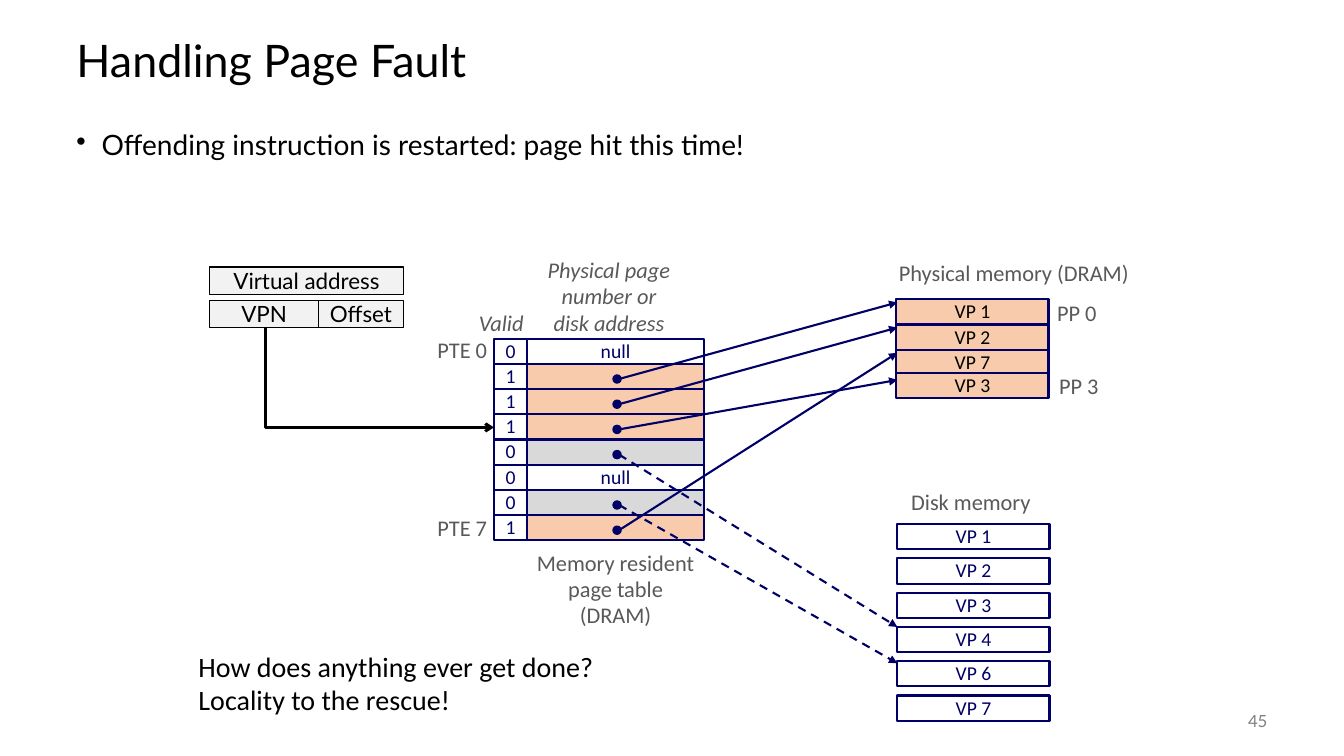
import dataclasses

import lxml.etree
import pptx
import pptx.dml.color
import pptx.enum.dml
import pptx.enum.shapes
import pptx.enum.text
import pptx.oxml.ns
import pptx.util

EMU_PER_PX = 9144
ALIGN = pptx.enum.text.PP_ALIGN
ANCHOR = pptx.enum.text.MSO_ANCHOR
SHAPE = pptx.enum.shapes.MSO_SHAPE
CONNECTOR = pptx.enum.shapes.MSO_CONNECTOR


@dataclasses.dataclass(frozen=True)
class Theme:
    """Colours, fonts and type sizes of the slide."""
    black: str = "000000"
    navy: str = "000066"
    grey: str = "595959"
    pale_grey: str = "808080"
    white: str = "FFFFFF"
    resident: str = "F8CBAD"
    on_disk: str = "D9D9D9"
    address: str = "F2F2F2"
    heading_font: str = "Lato"
    diagram_font: str = "Calibri"
    title_size: int = 32
    body_size: int = 20
    label_size: int = 16
    cell_size: int = 14
    number_size: int = 12


THEME = Theme()


def px(length):
    """Turn a length in px into EMU."""
    return pptx.util.Emu(int(length * EMU_PER_PX))


def rgb(colour):
    """Turn a hex string into a colour."""
    return pptx.dml.color.RGBColor.from_string(colour)


def set_values(target, values):
    """Set each named attribute of the target."""
    for name, value in values.items():
        setattr(target, name, value)


def write(shape, lines, size, colour, font=THEME.diagram_font, align=ALIGN.CENTER,
          anchor=ANCHOR.MIDDLE, wrap=False, spacing=0.98, italic=False, bullet=None):
    """Fill a shape with one paragraph per line."""
    frame = shape.text_frame
    set_values(frame, {"word_wrap": wrap, "vertical_anchor": anchor})
    for index, line in enumerate(lines):
        paragraph = frame.add_paragraph() if index else frame.paragraphs[0]
        set_values(paragraph, {"text": line, "alignment": align, "line_spacing": spacing})
        if bullet:
            properties = paragraph._p.get_or_add_pPr()
            properties.set("marL", str(px(25)))
            properties.set("indent", str(-px(25)))
            mark = lxml.etree.SubElement(properties, pptx.oxml.ns.qn("a:buChar"))
            mark.set("char", bullet)
        set_values(paragraph.runs[0].font,
                   {"name": font, "size": pptx.util.Pt(size), "italic": italic})
        paragraph.runs[0].font.color.rgb = rgb(colour)


def add_text(slide, box, lines, size=THEME.label_size, colour=THEME.grey, **values):
    """Add a text box."""
    shape = slide.shapes.add_textbox(*map(px, box))
    write(shape, lines, size, colour, **values)


def add_block(slide, box, fill, lines=(), line_colour=THEME.navy, width=1.5,
              kind=SHAPE.RECTANGLE, size=THEME.cell_size, colour=THEME.navy, **values):
    """Add an outlined shape, with text if any is given."""
    shape = slide.shapes.add_shape(kind, *map(px, box))
    shape.shadow.inherit = False
    if fill:
        shape.fill.solid()
        shape.fill.fore_color.rgb = rgb(fill)
    else:
        shape.fill.background()
    shape.line.color.rgb = rgb(line_colour)
    shape.line.width = pptx.util.Pt(width)
    write(shape, lines, size, colour, **values)


def add_arrow(slide, start, end, colour=THEME.navy, width=1.5, head="triangle",
              dashed=False, kind=CONNECTOR.STRAIGHT):
    """Add a connector with an arrowhead at its end."""
    connector = slide.shapes.add_connector(kind, *map(px, start + end))
    connector.line.color.rgb = rgb(colour)
    connector.line.width = pptx.util.Pt(width)
    if dashed:
        connector.line.dash_style = pptx.enum.dml.MSO_LINE.DASH
    tail = lxml.etree.SubElement(connector.line._get_or_add_ln(), pptx.oxml.ns.qn("a:tailEnd"))
    tail.set("type", head)
    lxml.etree.SubElement(connector._element.spPr, pptx.oxml.ns.qn("a:effectLst"))
    return connector


def add_corner_arrow(slide, start, end):
    """Add an arrow that runs down and then right."""
    (left, top), (right, bottom) = start, end
    centre_x, centre_y = (left + right) / 2, (top + bottom) / 2
    half_width, half_height = (bottom - top) / 2, (right - left) / 2
    connector = add_arrow(slide, (centre_x + half_width, centre_y - half_height),
                          (centre_x - half_width, centre_y + half_height),
                          THEME.black, 2, "arrow", kind=CONNECTOR.ELBOW)
    properties = connector._element.spPr
    properties.find(pptx.oxml.ns.qn("a:xfrm")).set("rot", "16200000")
    properties.find(pptx.oxml.ns.qn("a:prstGeom")).set("prst", "bentConnector2")


def add_headings(slide, box):
    """Place the title, the bullet and the slide number."""
    x, y, width, height = box
    heading = {"font": THEME.heading_font, "wrap": True, "spacing": 0.9}
    add_text(slide, (x, y, width, 75), ["Handling Page Fault"], THEME.title_size,
             THEME.black, align=ALIGN.LEFT, **heading)
    add_text(slide, (x, y + 100, width, 131),
             ["Offending instruction is restarted: page hit this time!"], THEME.body_size,
             THEME.black, align=ALIGN.LEFT, anchor=ANCHOR.TOP, bullet="•", **heading)
    add_text(slide, (x + width - 99, y + height - 40, 100, 40), ["45"], THEME.number_size,
             THEME.pale_grey, align=ALIGN.RIGHT, font=THEME.heading_font, spacing=1.0)


def add_virtual_address(slide, box):
    """Place the virtual address with its two parts."""
    x, y, width, height = box
    vpn_width = 108
    parts = [("Virtual address", x, y, width), ("VPN", x, y + 33, vpn_width),
             ("Offset", x + vpn_width, y + 33, width - vpn_width)]
    for label, left, top, part_width in parts:
        add_block(slide, (left, top, part_width, height), THEME.address, [label],
                  THEME.black, 1, size=THEME.label_size, colour=THEME.black,
                  font=THEME.heading_font, spacing=1.0)


def add_page_table(slide, box, entries):
    """Place the page table and its labels."""
    x, y, width, row_height = box
    valid_width = 33
    field_x, field_width = x + valid_width, width - valid_width
    bottom = y + len(entries) * row_height
    for row, (valid, fill, label) in enumerate(entries):
        top = y + row * row_height
        add_block(slide, (field_x, top, field_width, row_height), fill, label)
        add_block(slide, (x, top, valid_width, row_height), None, [valid])
    add_text(slide, (x - 25, y - 33, 75, 37), ["Valid"], italic=True,
             align=ALIGN.LEFT, anchor=ANCHOR.TOP)
    add_text(slide, (field_x + 8, y - 86, 146, 89),
             ["Physical page", "number or", "disk address"], italic=True)
    add_text(slide, (field_x - 5, bottom + 5, 185, 89),
             ["Memory resident", "page table", "(DRAM)"], anchor=ANCHOR.TOP)
    for label, top in (("PTE 0", y - 7), ("PTE 7", bottom - 30)):
        add_text(slide, (x - 67, top, 70, 37), [label], align=ALIGN.RIGHT)


def add_memory(slide, box, heading, heading_box, pages, fill, colour):
    """Place a heading and a stack of pages, each at its offset."""
    x, y, width, height = box
    add_text(slide, heading_box, [heading], anchor=ANCHOR.TOP)
    for label, offset in pages:
        add_block(slide, (x, y + offset, width, height), fill, [label], colour=colour)


def add_page_links(slide, box, row_height, links):
    """Link table rows to the heights where their pages lie."""
    x, y, width, dot = box
    for row, target, dashed in links:
        middle = y + row * row_height
        add_arrow(slide, (x + 2, middle), (x + width, target), dashed=dashed)
        add_block(slide, (x - dot // 2, middle - dot // 2, dot, dot), THEME.navy,
                  width=1, kind=SHAPE.OVAL)


def build_slide(presentation):
    """Build the page fault slide."""
    slide = presentation.slides.add_slide(presentation.slide_layouts[6])
    resident, on_disk = (THEME.resident, ()), (THEME.on_disk, ())
    null = (THEME.white, ["null"])
    entries = [("0", *null), ("1", *resident), ("1", *resident), ("1", *resident),
               ("0", *on_disk), ("0", *null), ("0", *on_disk), ("1", *resident)]
    frames = zip(("VP 1", "VP 2", "VP 7", "VP 3"), (0, 25, 50, 73))
    disk_pages = [(f"VP {number}", 34 * index)
                  for index, number in enumerate((1, 2, 3, 4, 6, 7))]
    links = [(1, 300, False), (2, 325, False), (3, 377, False),
             (4, 622, True), (6, 658, True), (7, 350, False)]

    add_headings(slide, (66, 25, 1200, 710))
    add_page_table(slide, (490, 336, 208, 25), entries)
    add_memory(slide, (889, 297, 151, 25), "Physical memory (DRAM)", (856, 253, 299, 37),
               frames, THEME.resident, THEME.black)
    for label, left, top in (("PP 0", 1038, 293), ("PP 3", 1040, 365)):
        add_text(slide, (left, top, 60, 37), [label])
    add_memory(slide, (890, 520, 151, 25), "Disk memory", (893, 481, 140, 37),
               disk_pages, THEME.white, THEME.navy)
    add_page_links(slide, (612, 351, 278, 8), 25, links)
    add_corner_arrow(slide, (263, 325), (490, 424))
    add_virtual_address(slide, (208, 265, 192, 27))
    add_text(slide, (187, 639, 423, 77),
             ["How does anything ever get done?", "Locality to the rescue!"], THEME.body_size,
             THEME.black, align=ALIGN.LEFT, anchor=ANCHOR.TOP, wrap=True, spacing=1.0)


def main():
    """Make the presentation and save it."""
    presentation = pptx.Presentation()
    set_values(presentation, {"slide_width": px(1333), "slide_height": px(750)})
    build_slide(presentation)
    presentation.save("out.pptx")


if __name__ == "__main__":
    main()
